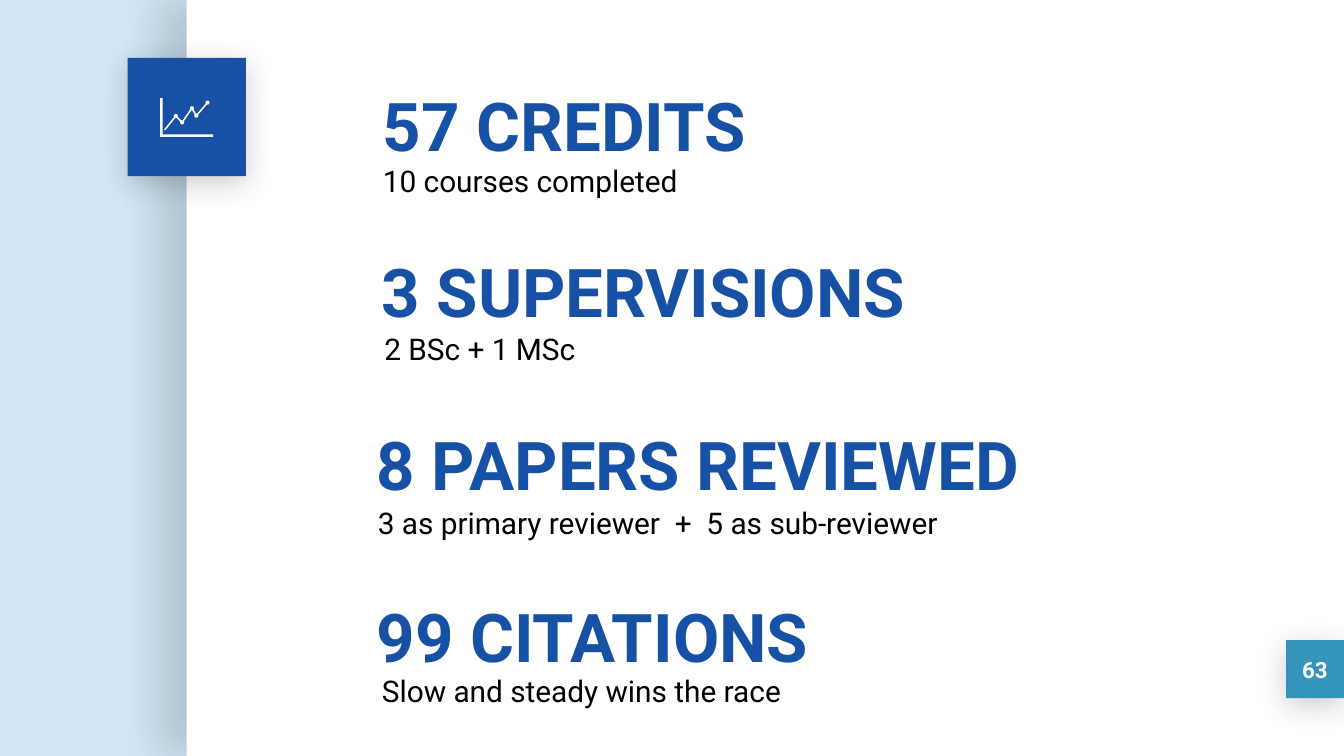
from lxml import etree
from pptx import Presentation
from pptx import util as u
from pptx.dml.color import RGBColor
from pptx.enum import shapes, text
from pptx.oxml import ns

Pt = u.Pt
BLUE, TEAL, WHITE, BLACK, PALE = "1751A6", "3494BA", "FFFFFF", "000000", "D1E7F6"


def paint(shape, colour, shadow=None):
    """Fill without outline; shadow is (opacity %, blur, distance, degrees)."""
    shape.fill.solid()
    shape.fill.fore_color.rgb = RGBColor.from_string(colour)
    shape.line.fill.background()
    shape.shadow.inherit = False
    if shadow:
        opacity, blur, distance, degrees = shadow
        effects = shape._element.spPr.find(ns.qn("a:effectLst"))
        outer = etree.SubElement(effects, ns.qn("a:outerShdw"), blurRad=str(Pt(blur)),
                                 dist=str(Pt(distance)), dir=str(degrees * 60000),
                                 algn="bl", rotWithShape="0")
        tint = etree.SubElement(outer, ns.qn("a:srgbClr"), val=BLACK)
        etree.SubElement(tint, ns.qn("a:alpha"), val=str(opacity * 1000))


def write(box, words, size, colour, bold=False, anchor="TOP", align="LEFT"):
    frame = box.text_frame
    frame.word_wrap = True
    frame.vertical_anchor = text.MSO_ANCHOR[anchor]
    frame.margin_left = frame.margin_right = Pt(7.2)
    frame.margin_top = frame.margin_bottom = Pt(7.2)
    para = frame.paragraphs[0]
    para.alignment = text.PP_ALIGN[align]
    span = para.add_run()
    span.text = words
    span.font.name = "Roboto"
    span.font.size = Pt(size)
    span.font.bold = bold
    span.font.color.rgb = RGBColor.from_string(colour)


deck = Presentation()
deck.slide_width, deck.slide_height = Pt(720), Pt(405)
page = deck.slides.add_slide(deck.slide_layouts[6])
page.background.fill.solid()
page.background.fill.fore_color.rgb = RGBColor.from_string(PALE)
drawn = page.shapes

# White panel, icon tile and page number tile
RECTANGLE, OVAL = shapes.MSO_SHAPE.RECTANGLE, shapes.MSO_SHAPE.OVAL
TILE_SHADOW = (20, 16.9, 3.8, 90)
panel = drawn.add_shape(RECTANGLE, Pt(100), 0, Pt(620), Pt(405))
paint(panel, WHITE, (15, 22.5, 15, 180))
icon_tile = drawn.add_shape(RECTANGLE, Pt(68.4), Pt(31), Pt(63.4), Pt(63.4))
paint(icon_tile, BLUE, TILE_SHADOW)
number_tile = drawn.add_shape(RECTANGLE, Pt(689), Pt(343), Pt(31), Pt(31))
paint(number_tile, TEAL, TILE_SHADOW)
write(number_tile, "63", 12, WHITE, bold=True, anchor="MIDDLE", align="CENTER")

# Line chart icon: axes, trend line and its dots
axes = [(85.8, 52.6), (87.2, 52.6), (87.2, 72), (114.2, 72), (114.2, 73.4), (85.8, 73.4)]
trend = [(88.2, 69.6), (94.2, 62.2), (97.6, 65.6), (102.8, 58), (105.2, 62), (111.2, 55)]
outlines = []
for points, closed in ((axes, True), (trend, False)):
    corners = [(Pt(x), Pt(y)) for x, y in points]
    builder = drawn.build_freeform(*corners[0])
    builder.add_line_segments(corners[1:], close=closed)
    outlines.append(builder.convert_to_shape())
axis_shape, trend_shape = outlines
paint(axis_shape, WHITE)
trend_shape.fill.background()
trend_shape.shadow.inherit = False
trend_shape.line.color.rgb = RGBColor.from_string(WHITE)
trend_shape.line.width = Pt(0.8)
for x, y in trend[1:]:
    paint(drawn.add_shape(OVAL, Pt(x - 1.1), Pt(y - 1.1), Pt(2.2), Pt(2.2)), WHITE)

# Headline (left, top, width) and detail (left, top, width) of each achievement
achievements = [
    ("57 CREDITS", (198, 31.7, 273), "10 courses completed", (198, 79.9, 273)),
    ("3 SUPERVISIONS", (197.3, 120.2, 306), "2 BSc + 1 MSc", (198.8, 170, 203)),
    ("8 PAPERS REVIEWED", (194.7, 213.2, 430),
     "3 as primary reviewer  +  5 as sub-reviewer", (195.3, 263.4, 430)),
    ("99 CITATIONS", (194.7, 305.4, 273), "Slow and steady wins the race", (197.5, 353.4, 229)),
]
for headline, headline_place, detail, detail_place in achievements:
    left, top, width = map(Pt, headline_place)
    write(drawn.add_textbox(left, top, width, Pt(70.6)), headline, 36, BLUE,
          bold=True, anchor="MIDDLE")
    left, top, width = map(Pt, detail_place)
    write(drawn.add_textbox(left, top, width, Pt(36.7)), detail, 16, BLACK)

deck.save("out.pptx")
